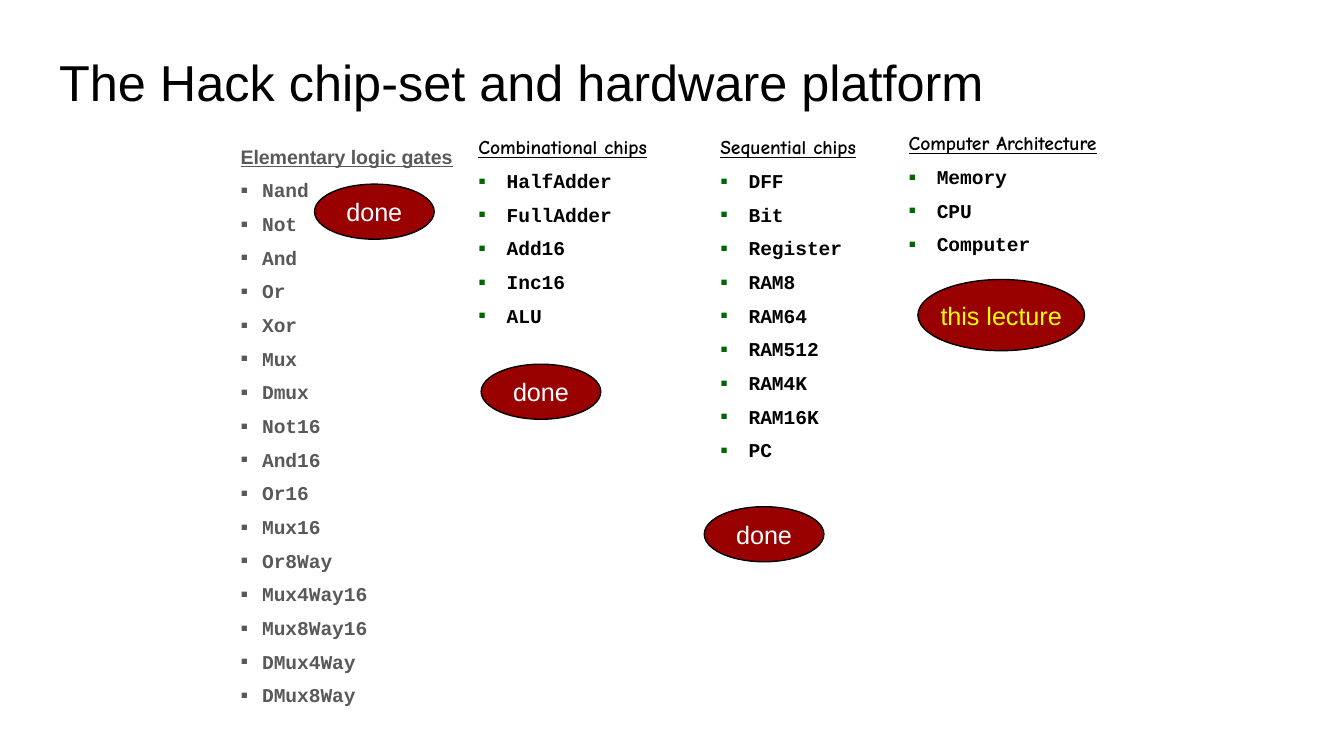
"""Build the slide listing the Hack chip-set and its progress badges."""
import typing

import lxml.etree
import pptx
import pptx.dml.color
import pptx.enum.shapes
import pptx.enum.text
import pptx.oxml.ns
import pptx.util
from pptx.util import Inches

BLACK = pptx.dml.color.RGBColor(0x00, 0x00, 0x00)
WHITE = pptx.dml.color.RGBColor(0xFF, 0xFF, 0xFF)
GRAY = pptx.dml.color.RGBColor(0x59, 0x59, 0x59)
GREEN = pptx.dml.color.RGBColor(0x00, 0x66, 0x00)
RED = pptx.dml.color.RGBColor(0x99, 0x00, 0x00)
YELLOW = pptx.dml.color.RGBColor(0xFF, 0xFF, 0x00)


class Box(typing.NamedTuple):
    left: float
    top: float
    width: float
    height: float


class ChipList(typing.NamedTuple):
    box: Box
    heading: str
    chips: str
    heading_font: str = "Comic Neue"
    color: pptx.dml.color.RGBColor = BLACK
    bullet_color: pptx.dml.color.RGBColor = GREEN
    indent: float = 0.21
    margins: tuple = (0, 0, 0.1, 0.05)


class Badge(typing.NamedTuple):
    box: Box
    label: str = "done"
    color: pptx.dml.color.RGBColor = WHITE


TITLE_BOX = Box(0.34, 0.28, 9.32, 0.63)
GATES = ChipList(
    Box(1.69, 0.96, 2.19, 4.61), "Elementary logic gates",
    "Nand Not And Or Xor Mux Dmux Not16 And16 Or16 Mux16 Or8Way "
    "Mux4Way16 Mux8Way16 DMux4Way DMux8Way",
    "Arial", GRAY, GRAY, 0.16, (0.1, 0.1, 0.1, 0.1))
CHIP_LISTS = [
    ChipList(Box(3.56, 0.99, 1.75, 2.75), "Combinational chips",
             "HalfAdder FullAdder Add16 Inc16 ALU"),
    ChipList(Box(5.12, 0.99, 2, 2.75), "Sequential chips",
             "DFF Bit Register RAM8 RAM64 RAM512 RAM4K RAM16K PC",
             margins=(0.24, 0, 0.1, 0.05)),
    ChipList(Box(6.62, 0.96, 2.19, 1.19), "Computer Architecture",
             "Memory CPU Computer", margins=(0.14, 0, 0.1, 0.05)),
]
BADGES = [
    Badge(Box(2.34, 1.37, 0.89, 0.41)),
    Badge(Box(3.58, 2.71, 0.89, 0.41)),
    Badge(Box(5.24, 3.77, 0.89, 0.41)),
    Badge(Box(6.83, 2.08, 1.24, 0.53), "this lecture", YELLOW),
]


def place(shape, box: Box) -> None:
    shape.left, shape.top, shape.width, shape.height = map(Inches, box)


def set_margins(frame, margins: tuple) -> None:
    (frame.margin_left, frame.margin_top,
     frame.margin_right, frame.margin_bottom) = map(Inches, margins)


def add_run(paragraph, text: str, font: str, size: float,
            color: pptx.dml.color.RGBColor):
    run = paragraph.add_run()
    run.text = text
    run.font.name = font
    run.font.size = pptx.util.Pt(size)
    run.font.color.rgb = color
    return run


def add_element(parent, tag: str, **attributes: str):
    return lxml.etree.SubElement(parent, pptx.oxml.ns.qn(tag), attributes)


def format_item(paragraph, indent: float, bullet_color=None) -> None:
    properties = paragraph._p.get_or_add_pPr()
    properties.set("marL", str(Inches(indent)))
    properties.set("indent", str(-Inches(indent)))
    if bullet_color is None:
        add_element(properties, "a:buNone")
    else:
        color = add_element(properties, "a:buClr")
        add_element(color, "a:srgbClr", val=str(bullet_color))
        add_element(properties, "a:buSzPct", val="110000")
        add_element(properties, "a:buFont", typeface="Arial")
        add_element(properties, "a:buChar", char="▪")
    paragraph.line_spacing = 1.1
    paragraph.space_before = pptx.util.Pt(0 if bullet_color is None else 4.2)


def fill_chip_list(shape, chip_list: ChipList) -> None:
    place(shape, chip_list.box)
    frame = shape.text_frame
    frame.word_wrap = True
    frame.auto_size = pptx.enum.text.MSO_AUTO_SIZE.NONE
    set_margins(frame, chip_list.margins)
    heading = frame.paragraphs[0]
    format_item(heading, chip_list.indent)
    run = add_run(heading, chip_list.heading, chip_list.heading_font, 10.5,
                  chip_list.color)
    run.font.bold = run.font.underline = True
    for chip in chip_list.chips.split():
        paragraph = frame.add_paragraph()
        format_item(paragraph, chip_list.indent, chip_list.bullet_color)
        run = add_run(paragraph, chip, "Courier New", 10.5, chip_list.color)
        run.font.bold = True


def add_badge(slide, badge: Badge) -> None:
    shape = slide.shapes.add_shape(
        pptx.enum.shapes.MSO_SHAPE.OVAL, *map(Inches, badge.box))
    shape.shadow.inherit = False
    shape.fill.solid()
    shape.fill.fore_color.rgb = RED
    shape.line.color.rgb = BLACK
    shape.line.width = pptx.util.Pt(0.75)
    frame = shape.text_frame
    frame.word_wrap = False
    frame.vertical_anchor = pptx.enum.text.MSO_ANCHOR.MIDDLE
    paragraph = frame.paragraphs[0]
    paragraph.alignment = pptx.enum.text.PP_ALIGN.CENTER
    add_run(paragraph, badge.label, "Arial", 13.5, badge.color)


def fill_title(title) -> None:
    place(title, TITLE_BOX)
    frame = title.text_frame
    frame.auto_size = pptx.enum.text.MSO_AUTO_SIZE.NONE
    frame.vertical_anchor = pptx.enum.text.MSO_ANCHOR.TOP
    set_margins(frame, (0.1, 0.1, 0.1, 0.1))
    paragraph = frame.paragraphs[0]
    paragraph.alignment = pptx.enum.text.PP_ALIGN.LEFT
    add_run(paragraph, "The Hack chip-set and hardware platform", "Arial", 27,
            BLACK)


def main() -> None:
    presentation = pptx.Presentation()
    presentation.slide_width = Inches(10)
    presentation.slide_height = presentation.slide_width * 9 // 16
    slide = presentation.slides.add_slide(presentation.slide_layouts[1])
    fill_title(slide.shapes.title)
    fill_chip_list(slide.placeholders[1], GATES)
    for chip_list in CHIP_LISTS:
        text_box = slide.shapes.add_textbox(*map(Inches, chip_list.box))
        fill_chip_list(text_box, chip_list)
    for badge in BADGES:
        add_badge(slide, badge)
    presentation.save("out.pptx")


if __name__ == "__main__":
    main()
